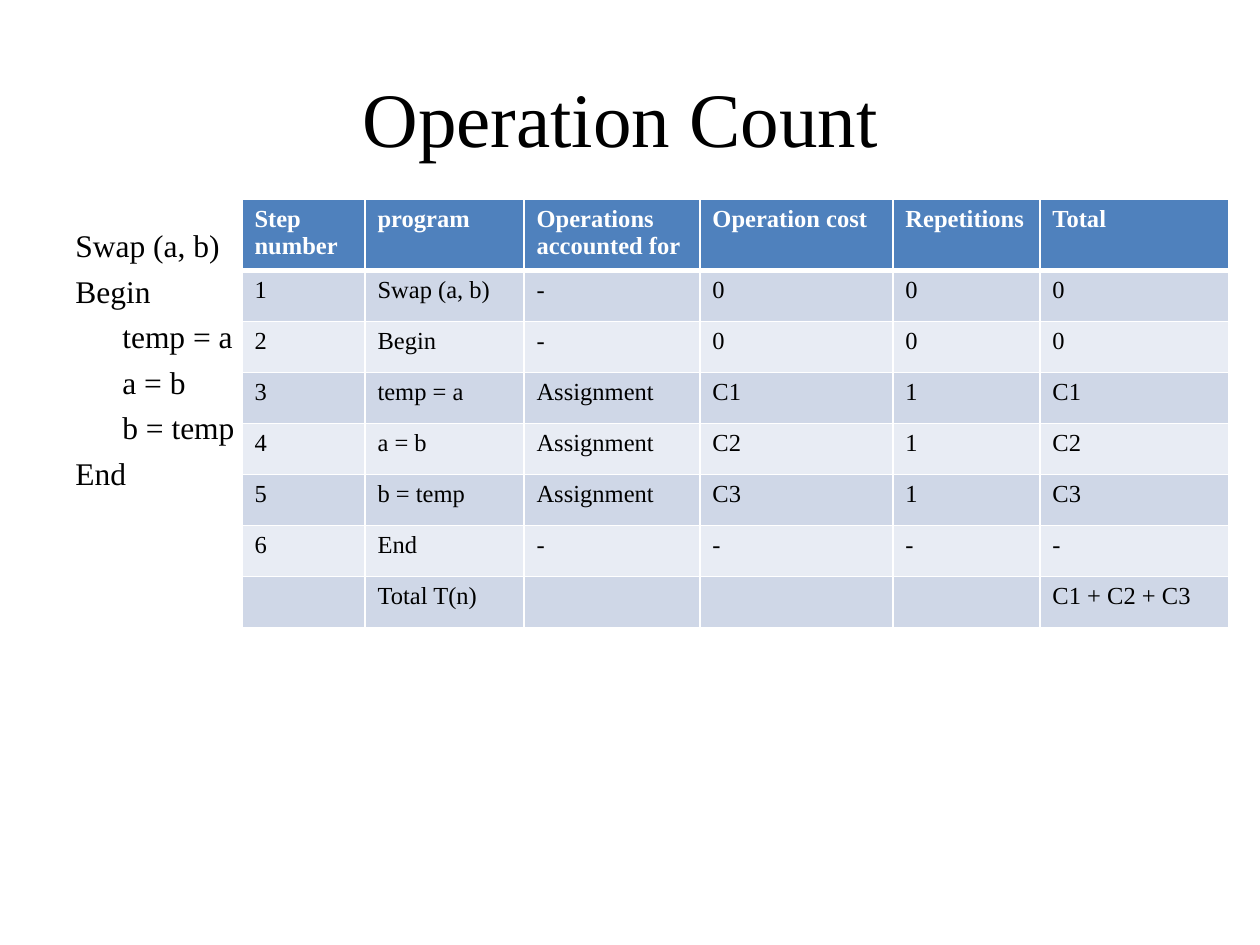
"""Build the Operation Count slide: swap pseudocode beside its cost table."""
from dataclasses import dataclass

from lxml.etree import SubElement
from pptx import Presentation
from pptx.dml.color import RGBColor as RGB
from pptx.enum.text import MSO_ANCHOR as Anchor, PP_ALIGN as Align
from pptx.oxml.ns import qn
from pptx.util import Pt

PX = 914400 // 126


@dataclass(frozen=True)
class Theme:
    font: str = "Times New Roman"
    ink: str = "000000"
    white: str = "FFFFFF"
    header: str = "4F81BD"
    bands: tuple = ("CFD7E7", "E8ECF4")
    title_size: int = 44
    code_size: int = 18
    table_size: int = 14


theme = Theme()


def write(paragraph, text, size, color=theme.ink, bold=False, align=Align.LEFT, before=0):
    paragraph.alignment = align
    if before:
        paragraph.space_before = Pt(before)
    run = paragraph.add_run()
    run.text = text
    run.font.name, run.font.size, run.font.bold = theme.font, Pt(size), bold
    run.font.color.rgb = RGB.from_string(color)


def add_border(cell, side, width):
    line = SubElement(cell._tc.get_or_add_tcPr(), qn(f"a:ln{side}"), w=str(Pt(width)))
    SubElement(SubElement(line, qn("a:solidFill")), qn("a:srgbClr"), val=theme.white)


deck = Presentation()
deck.slide_width, deck.slide_height = 1260 * PX, 945 * PX
slide = deck.slides.add_slide(deck.slide_layouts[6])

title = slide.shapes.add_textbox(63 * PX, 38 * PX, 1134 * PX, 157 * PX).text_frame
title.word_wrap = True
title.vertical_anchor = Anchor.MIDDLE
write(title.paragraphs[0], "Operation Count ", theme.title_size, align=Align.CENTER)

code = slide.shapes.add_textbox(63 * PX, 220 * PX, 252 * PX, 220 * PX).text_frame
code.word_wrap = True
code_lines = [
    ("Swap (a, b)", 0),
    ("Begin", 0),
    ("temp = a", 1),
    ("a = b", 1),
    ("b = temp", 1),
    ("End", 0),
]
for number, (statement, level) in enumerate(code_lines):
    line = code.add_paragraph() if number else code.paragraphs[0]
    line._p.get_or_add_pPr().set("marL", str(level * 47 * PX))
    write(line, statement, theme.code_size, before=4.4 if number else 0)

steps = [
    ("Step number", "program", "Operations accounted for", "Operation cost", "Repetitions", "Total"),
    ("1", "Swap (a, b)", "-", "0", "0", "0"),
    ("2", "Begin", "-", "0", "0", "0"),
    ("3", "temp = a", "Assignment", "C1", "1", "C1"),
    ("4", "a = b", "Assignment", "C2", "1", "C2"),
    ("5", "b = temp", "Assignment", "C3", "1", "C3"),
    ("6", "End", "-", "-", "-", "-"),
    ("", "Total T(n)", "", "", "", "C1 + C2 + C3"),
]
column_widths = (123, 159, 176, 193, 147, 189)
row_height = 51
costs = slide.shapes.add_table(
    len(steps), len(column_widths), 242 * PX, 199 * PX,
    sum(column_widths) * PX, len(steps) * row_height * PX,
).table
for column, width in zip(costs.columns, column_widths):
    column.width = width * PX

for r, step in enumerate(steps):
    is_header = r == 0
    costs.rows[r].height = row_height * PX
    for c, entry in enumerate(step):
        cell = costs.cell(r, c)
        borders = {"L": 1, "R": 1, "T": 3 if r == 1 else 1, "B": 3 if is_header else 1}
        for side, width in borders.items():
            add_border(cell, side, width)
        cell.fill.solid()
        cell.fill.fore_color.rgb = RGB.from_string(
            theme.header if is_header else theme.bands[(r - 1) % 2])
        if entry:
            write(cell.text_frame.paragraphs[0], entry, theme.table_size,
                  color=theme.white if is_header else theme.ink, bold=is_header)

deck.save("out.pptx")
